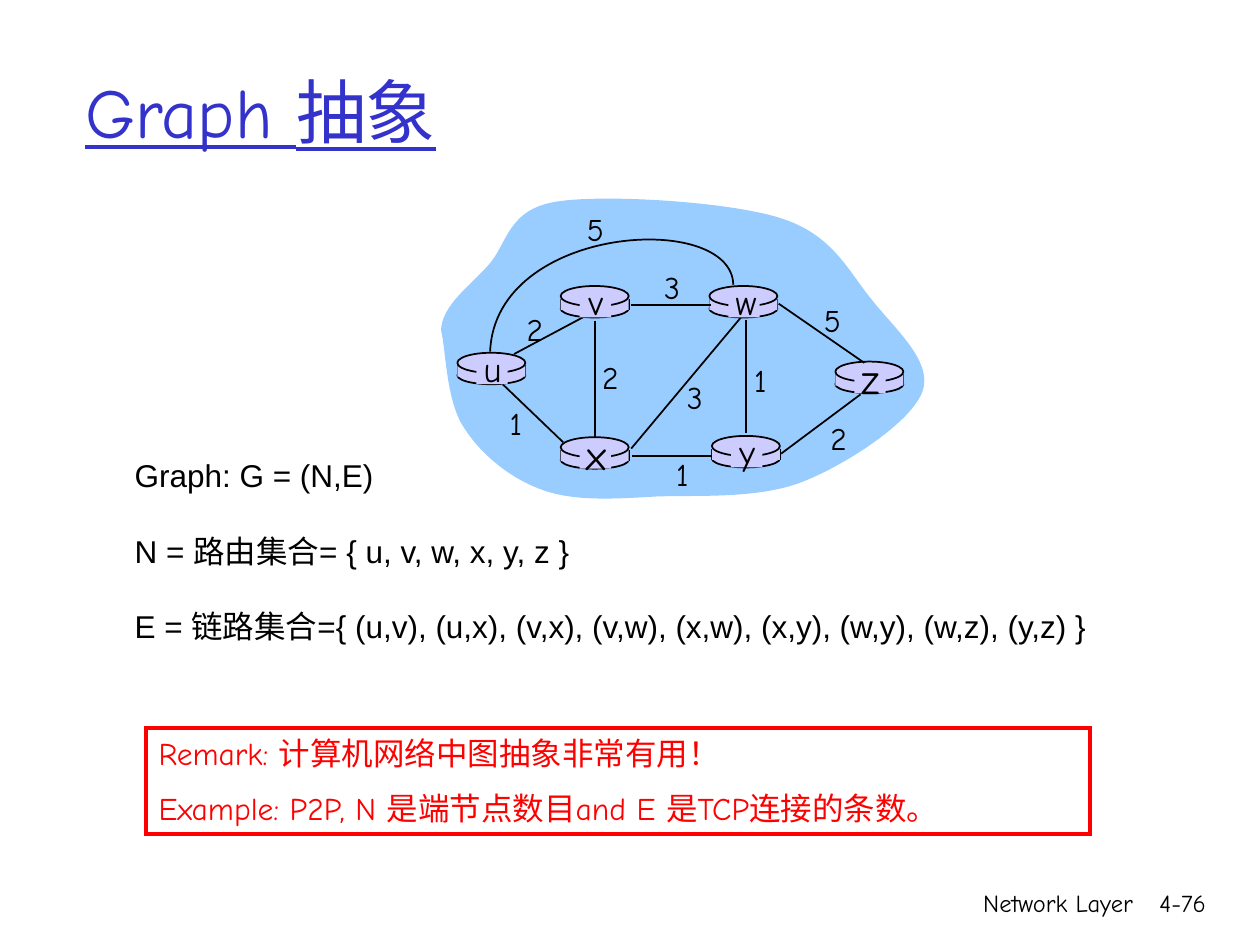
from lxml import etree
from pptx import Presentation
from pptx import util as u
from pptx.dml.color import RGBColor
from pptx.enum import shapes, text
from pptx.oxml.ns import qn

COMIC = "Comic Neue"
BLACK, LILAC, SKY, RED, BLUE = "000000", "CCCCFF", "99CCFF", "FF0000", "3333CC"
RECT, OVAL = shapes.MSO_SHAPE.RECTANGLE, shapes.MSO_SHAPE.OVAL
LEFT, CENTER, RIGHT = text.PP_ALIGN.LEFT, text.PP_ALIGN.CENTER, text.PP_ALIGN.RIGHT
TOP, MIDDLE = text.MSO_ANCHOR.TOP, text.MSO_ANCHOR.MIDDLE

ROUTERS = [("u", 3.63, 2.8, 20), ("x", 4.45, 3.47, 24), ("v", 4.45, 2.27, 20),
           ("w", 5.63, 2.27, 20), ("y", 5.65, 3.46, 20), ("z", 6.63, 2.87, 24)]
LINKS = [((5.92, 2.54), (5.92, 3.44)), ((4.72, 2.55), (4.72, 3.48)),
         ((5.01, 3.56), (5.88, 2.52)), ((6.2, 3.6), (6.83, 3.13)),
         ((5.65, 3.62), (5.02, 3.62)), ((4.47, 3.51), (3.99, 3.05)),
         ((5.64, 2.42), (5.01, 2.42)), ((6.86, 2.88), (6.18, 2.41))]
COSTS = [("2", 4.08, 2.41), ("2", 4.68, 2.79), ("1", 3.93, 3.16), ("3", 5.35, 2.95),
         ("1", 5.25, 3.56), ("1", 5.87, 2.82), ("2", 6.49, 3.28), ("5", 6.44, 2.34),
         ("3", 5.17, 2.08), ("5", 4.56, 1.62)]
CLOUD = [(3.5, 2.62),
         (3.51, 2.42), (3.73, 2.27), (3.88, 2.1), (4.03, 1.93), (4.03, 1.66), (4.42, 1.6),
         (4.8, 1.54), (5.78, 1.6), (6.19, 1.73), (6.61, 1.86), (6.73, 2.15), (6.92, 2.38),
         (7.1, 2.61), (7.41, 2.87), (7.32, 3.11), (7.23, 3.35), (6.73, 3.68), (6.38, 3.82),
         (6.03, 3.96), (5.57, 3.93), (5.22, 3.94), (4.88, 3.96), (4.56, 3.98), (4.31, 3.89),
         (4.05, 3.8), (3.81, 3.6), (3.68, 3.39), (3.54, 3.18), (3.54, 2.78), (3.5, 2.62)]
ARC = [(5.82, 2.26), (5.81, 1.67), (3.93, 1.78), (3.89, 2.79)]


def rgb(color):
    return RGBColor.from_string(color)


def style(sp, fill=None, line=None, width=1):
    sp.shadow.inherit = False
    if fill:
        sp.fill.solid()
        sp.fill.fore_color.rgb = rgb(fill)
    else:
        sp.fill.background()
    if line:
        sp.line.color.rgb = rgb(line)
        sp.line.width = u.Pt(width)
    else:
        sp.line.fill.background()


def add_box(s, kind, box, **look):
    sp = s.shapes.add_shape(kind, *map(u.Inches, box))
    style(sp, **look)
    return sp


def add_line(s, start, end):
    ln = s.shapes.add_connector(shapes.MSO_CONNECTOR.STRAIGHT, *map(u.Inches, start + end))
    ln.line.color.rgb = rgb(BLACK)
    ln.line.width = u.Pt(1)
    etree.SubElement(ln._element.spPr, qn("a:effectLst"))


def add_curve(s, points, closed=False, **look):
    start, *rest = [tuple(map(u.Inches, point)) for point in points]
    builder = s.shapes.build_freeform(*start)
    builder.add_line_segments(rest, close=closed)
    sp = builder.convert_to_shape()
    segments = list(sp._element.iter(qn("a:lnTo")))
    for i in range(0, len(rest), 3):
        bezier = etree.Element(qn("a:cubicBezTo"))
        segments[i].addprevious(bezier)
        for segment in segments[i:i + 3]:
            bezier.append(segment[0])
            segment.getparent().remove(segment)
    style(sp, **look)


def write(sp, lines, size=18, font=COMIC, color=BLACK, align=LEFT, anchor=TOP,
          wrap=True, gap=0, underline=None):
    tf = sp.text_frame
    tf.word_wrap = wrap
    tf.vertical_anchor = anchor
    for i, line in enumerate(lines):
        p = tf.add_paragraph() if i else tf.paragraphs[0]
        p.alignment = align
        if i and gap:
            p.space_before = u.Pt(gap)
        r = p.add_run()
        r.text = line
        r.font.size = u.Pt(size)
        r.font.name = font
        r.font.color.rgb = rgb(color)
        r.font.underline = underline


def add_text(s, box, *lines, **fmt):
    write(s.shapes.add_textbox(*map(u.Inches, box)), lines, **fmt)


def add_router(s, x, y):
    w, side = 0.54, 0.09
    add_box(s, OVAL, (x, y + 0.11, w, 0.14), fill=LILAC, line=BLACK)
    for edge in (x, x + w):
        add_line(s, (edge, y + 0.1), (edge, y + 0.1 + side))
    add_box(s, RECT, (x, y + 0.1, w, side), fill=LILAC)
    add_box(s, OVAL, (x, y, w, 0.16), fill=LILAC, line=BLACK)


def add_router_name(s, name, x, y, size):
    w, h = 0.34, 0.44 if size == 20 else 0.5
    add_box(s, RECT, (x + 0.15, y + 0.02, 0.25, 0.23), fill=LILAC)
    add_text(s, (x + 0.28 - w / 2, y + 0.13 - h / 2, w, h), name,
             size=size, align=CENTER, wrap=False)


def add_network(s):
    add_curve(s, CLOUD, closed=True, fill=SKY)
    add_line(s, (4.08, 2.81), (4.68, 2.49))
    for _, x, y, _ in ROUTERS:
        add_router(s, x, y)
    for start, end in LINKS:
        add_line(s, start, end)
    add_curve(s, ARC, line=BLACK)
    for router in ROUTERS:
        add_router_name(s, *router)
    for cost, x, y in COSTS:
        add_text(s, (x, y, 0.33, 0.4), cost, align=CENTER, wrap=False)


def add_remark(s):
    sp = add_box(s, RECT, (1.16, 5.78, 7.49, 0.84), line=RED, width=2.25)
    etree.SubElement(sp._element.spPr.find(qn("a:ln")), qn("a:miter"), lim="800000")
    write(sp, ["Remark: 计算机网络中图抽象非常有用！",
               "Example: P2P, N 是端节点数目and E 是TCP连接的条数。"],
          color=RED, gap=9.5)


def main():
    prs = Presentation()
    prs.slide_width, prs.slide_height = u.Inches(10), u.Inches(7.5)
    s = prs.slides.add_slide(prs.slide_layouts[6])
    add_text(s, (5.92, 7, 3.17, 0.5), "Network Layer", size=14, align=RIGHT)
    add_text(s, (8.93, 7, 0.74, 0.5), "4-76", size=14, align=RIGHT)
    add_network(s)
    add_text(s, (0.97, 3.57, 7.96, 1.6),
             "Graph: G = (N,E)",
             "N = 路由集合= { u, v, w, x, y, z }",
             "E = 链路集合={ (u,v), (u,x), (v,x), (v,w), (x,w), (x,y), (w,y), (w,z), (y,z) }",
             font="Arial", wrap=False, gap=21.6)
    add_text(s, (0.58, 0.25, 8.5, 1.25), "Graph 抽象",
             size=40, color=BLUE, anchor=MIDDLE, underline=True)
    add_remark(s)
    prs.save("out.pptx")


if __name__ == "__main__":
    main()
